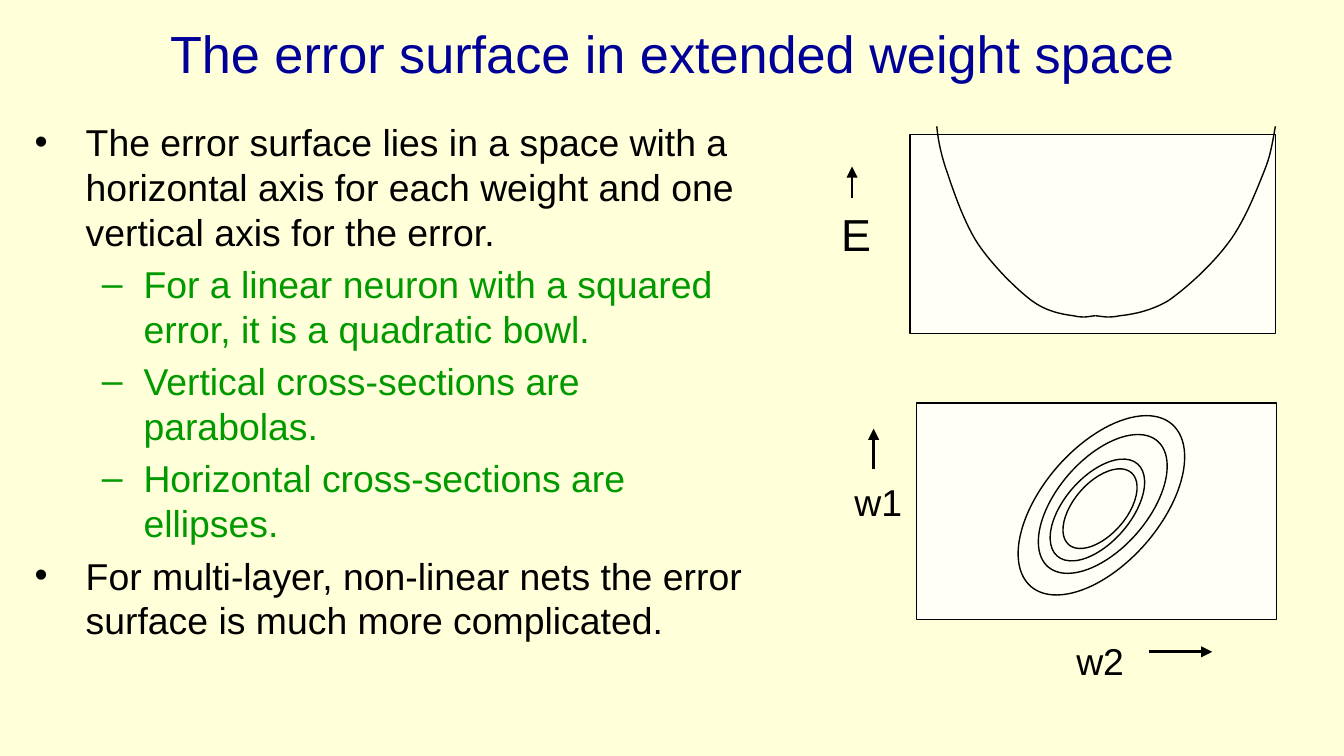
from dataclasses import dataclass

from lxml import etree
from pptx import Presentation
from pptx.dml.color import RGBColor
from pptx.enum.shapes import MSO_CONNECTOR, MSO_SHAPE
from pptx.enum.text import MSO_ANCHOR, MSO_AUTO_SIZE, PP_ALIGN
from pptx.oxml.ns import qn
from pptx.util import Pt

PX = 9144  # EMU; 100 px to the inch
RECTANGLE, ELLIPSE = MSO_SHAPE.RECTANGLE, MSO_SHAPE.OVAL
STRAIGHT = MSO_CONNECTOR.STRAIGHT
MIDDLE, TOP = MSO_ANCHOR.MIDDLE, MSO_ANCHOR.TOP
CENTER, LEFT = PP_ALIGN.CENTER, PP_ALIGN.LEFT
GROW = MSO_AUTO_SIZE.SHAPE_TO_FIT_TEXT
TITLE_ONLY = 5
CURVE_STEPS = 12


@dataclass(frozen=True)
class Theme:
    font: str = "Arial"
    background: str = "FFFFD9"
    panel: str = "FFFFF7"
    ink: str = "000000"
    title: str = "000099"
    detail: str = "009900"
    title_size: int = 28
    body_size: int = 20
    axis_size: int = 24
    outline: float = 0.75
    arrow: float = 1.5


THEME = Theme()

TITLE = "The error surface in extended weight space"
POINTS = [
    (0, "The error surface lies in a space with a horizontal axis for each weight "
        "and one vertical axis for the error."),
    (1, "For a linear neuron with a squared error, it is a quadratic bowl."),
    (1, "Vertical cross-sections are parabolas."),
    (1, "Horizontal cross-sections are ellipses."),
    (0, "For multi-layer, non-linear nets the error surface is much more complicated."),
]
# level: (bullet, left margin, hanging indent, colour)
LEVELS = {0: ("•", 38, 38, THEME.ink), 1: ("–", 81, 31, THEME.detail)}

# Bezier control points, relative to the panel's top left corner
BOWL_LEFT = [(20, -6), (21, 4), (23, 15), (28, 29), (33, 44), (41, 67), (51, 82),
             (62, 98), (79, 115), (91, 124), (102, 132), (114, 134), (122, 135),
             (130, 137), (135, 135), (138, 135)]
BOWL_RIGHT = [(272, -6), (270, 4), (269, 15), (263, 29), (257, 44), (248, 67), (236, 82),
              (224, 98), (205, 115), (192, 124), (178, 132), (165, 134), (156, 135),
              (147, 137), (141, 135), (138, 135)]
# left, top, width, height before rotation, relative to the panel
CONTOURS = [(94, -4, 87, 160), (105, 13, 67, 124), (110, 34, 49, 91), (117, 43, 39, 71)]
CONTOUR_ANGLE = 41.1


def emu(*lengths):
    return [round(length * PX) for length in lengths]


def color(value):
    return RGBColor.from_string(value)


def write(para, text, size, ink=THEME.ink, align=LEFT):
    para.alignment = align
    span = para.add_run()
    span.text = text
    span.font.name = THEME.font
    span.font.size = Pt(size)
    span.font.color.rgb = color(ink)


def add_bullet(para, symbol, margin, hanging):
    properties = para._p.get_or_add_pPr()
    left, indent = emu(margin, -hanging)
    properties.set("marL", str(left))
    properties.set("indent", str(indent))
    etree.SubElement(properties, qn("a:buFont"), typeface=THEME.font)
    etree.SubElement(properties, qn("a:buChar"), char=symbol)


def outline(shape):
    shape.shadow.inherit = False
    shape.line.color.rgb = color(THEME.ink)
    shape.line.width = Pt(THEME.outline)


def add_panel_shape(page, kind, box, angle=0):
    shape = page.shapes.add_shape(kind, *emu(*box))
    shape.rotation = angle
    shape.fill.solid()
    shape.fill.fore_color.rgb = color(THEME.panel)
    outline(shape)


def bezier_points(controls):
    """Return points along a chain of cubic curves that share their end points."""
    points = [controls[0]]
    for start in range(0, len(controls) - 1, 3):
        segment = controls[start:start + 4]
        for step in range(1, CURVE_STEPS + 1):
            t = step / CURVE_STEPS
            weights = ((1 - t) ** 3, 3 * t * (1 - t) ** 2, 3 * t * t * (1 - t), t ** 3)
            points.append(tuple(sum(w * point[axis] for w, point in zip(weights, segment))
                                for axis in (0, 1)))
    return points


def add_curve(page, left, top, controls):
    points = [emu(left + x, top + y) for x, y in bezier_points(controls)]
    builder = page.shapes.build_freeform(*points[0], scale=1.0)
    builder.add_line_segments(points[1:], close=False)
    curve = builder.convert_to_shape()
    curve.fill.background()
    outline(curve)


def add_arrow(page, start, end):
    arrow = page.shapes.add_connector(STRAIGHT, *emu(*start, *end))
    arrow.line.color.rgb = color(THEME.ink)
    arrow.line.width = Pt(THEME.arrow)
    etree.SubElement(arrow.line._get_or_add_ln(), qn("a:tailEnd"), type="triangle")
    etree.SubElement(arrow._element.spPr, qn("a:effectLst"))


def add_label(page, text, box, size):
    label = page.shapes.add_textbox(*emu(*box))
    label.text_frame.word_wrap = False
    label.text_frame.auto_size = GROW
    write(label.text_frame.paragraphs[0], text, size)


def place_title(page, box):
    title = page.shapes.title
    title.left, title.top, title.width, title.height = emu(*box)
    title.text_frame.vertical_anchor = MIDDLE
    write(title.text_frame.paragraphs[0], TITLE, THEME.title_size, THEME.title, CENTER)


def place_points(page, box):
    frame = page.shapes.add_textbox(*emu(*box)).text_frame
    frame.word_wrap = True
    frame.vertical_anchor = TOP
    for index, (level, text) in enumerate(POINTS):
        para = frame.add_paragraph() if index else frame.paragraphs[0]
        symbol, margin, hanging, ink = LEVELS[level]
        para.level = level
        para.space_before = Pt(THEME.body_size * 0.2)
        para.font.size = Pt(THEME.body_size)
        add_bullet(para, symbol, margin, hanging)
        write(para, text, THEME.body_size, ink)


def place_bowl(page, box):
    """Vertical cross-section: a parabola with its error axis."""
    left, top = box[:2]
    add_panel_shape(page, RECTANGLE, box)
    for controls in (BOWL_LEFT, BOWL_RIGHT):
        add_curve(page, left, top, controls)
    add_label(page, "E", (left - 61, top + 49, 43, 50), THEME.axis_size)
    add_arrow(page, (left - 43, top + 47), (left - 43, top + 24))


def place_contours(page, box):
    """Horizontal cross-section: nested ellipses with both weight axes."""
    left, top, _, height = box
    bottom = top + height
    add_panel_shape(page, RECTANGLE, box)
    add_label(page, "w1", (left - 56, top + 52, 57, 44), THEME.body_size)
    add_label(page, "w2", (left + 109, bottom + 9, 57, 44), THEME.body_size)
    add_arrow(page, (left - 32, top + 49), (left - 32, top + 19))
    add_arrow(page, (left + 173, bottom + 24), (left + 220, bottom + 24))
    for x, y, wide, high in CONTOURS:
        add_panel_shape(page, ELLIPSE, (left + x, top + y, wide, high), CONTOUR_ANGLE)


def main():
    deck = Presentation()
    deck.slide_width = 1000 * PX
    deck.slide_height = deck.slide_width * 9 // 16
    page = deck.slides.add_slide(deck.slide_layouts[TITLE_ONLY])
    page.background.fill.solid()
    page.background.fill.fore_color.rgb = color(THEME.background)
    place_title(page, (50, -8, 900, 94))
    place_points(page, (16, 84, 563, 431))
    place_bowl(page, (677, 100, 272, 148))
    place_contours(page, (682, 300, 268, 161))
    deck.save("out.pptx")


if __name__ == "__main__":
    main()
